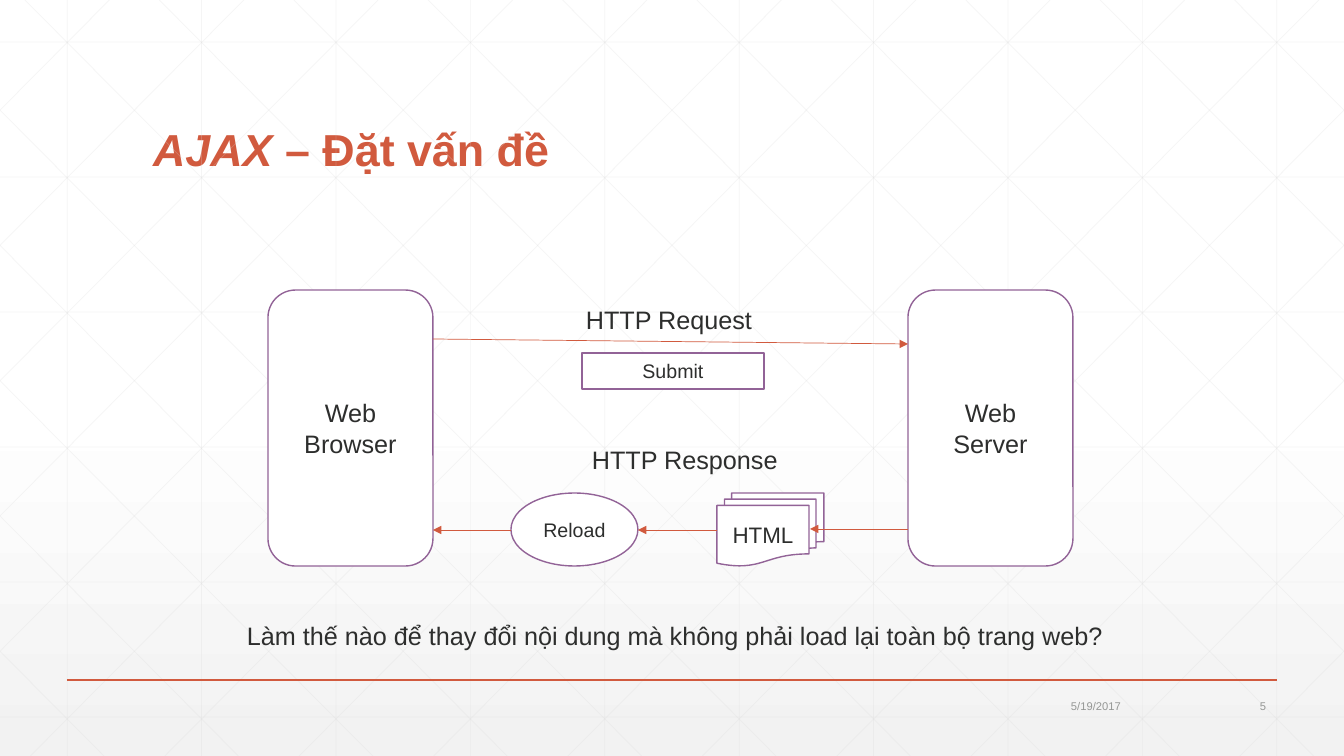
"""Build the AJAX problem slide: a browser-server round trip over a faint grid."""
from lxml import etree
from pptx import Presentation
from pptx.dml.color import RGBColor
from pptx.enum.shapes import MSO_CONNECTOR, MSO_SHAPE as SHAPE
from pptx.enum.text import MSO_ANCHOR as ANCHOR, MSO_AUTO_SIZE as AUTO, PP_ALIGN as ALIGN
from pptx.oxml.ns import qn
from pptx.util import Inches, Pt

WIDTH, HEIGHT = 1344, 756
FONT = "Arial"
ORANGE, PURPLE, DARK, GRAY = "D15A3E", "926397", "2D2E2D", "959795"
WHITE, PALE, GRID = "FFFFFF", "F2F2F2", "D9D9D9"

TITLE_BOX = (143, 55, 1058, 126)
TITLE_RUNS = [("AJAX ", True), ("– Đặt vấn đề", False)]
LABELS = [
    ("Làm thế nào để thay đổi nội dung mà không phải load lại toàn bộ trang web?",
     (237, 615, 884, 40)),
    ("HTTP Request", (576, 299, 188, 40)),
    ("HTTP Response", (582, 439, 208, 40)),
]
NODES = [
    ("Web Browser", SHAPE.ROUNDED_RECTANGLE, (268, 290, 165, 276), 18),
    ("Web Server", SHAPE.ROUNDED_RECTANGLE, (908, 290, 165, 276), 18),
    ("HTML", SHAPE.FLOWCHART_MULTIDOCUMENT, (717, 493, 107, 73), 16),
    ("Reload", SHAPE.OVAL, (511, 493, 127, 73), 14),
    ("Submit", SHAPE.RECTANGLE, (582, 353, 182, 36), 14),
]
ARROWS = [
    (433, 339, 908, 344),
    (908, 529, 810, 529),
    (717, 530, 638, 530),
    (511, 530, 433, 530),
]
FOOTERS = [("5/19/2017", (1024, 694, 107, 24)), ("5", (1175, 694, 101, 24))]
RULE = (67, 680, 1277, 680)

COLUMN_STEP, ROW_STEP, FIRST_ROW = WIDTH / 10, 135, 42
DIAGONAL_START, DIAGONAL_RUN = 25, 751


def px(value):
    return Inches(value / 100.8)


def color(value):
    return RGBColor.from_string(value)


def add_line(ends, line_color, weight, opacity=None, arrow=False):
    line = slide.shapes.add_connector(MSO_CONNECTOR.STRAIGHT, *map(px, ends))
    line.line.color.rgb = color(line_color)
    line.line.width = Pt(weight)
    properties = line._element.spPr
    outline = properties.find(qn("a:ln"))
    if opacity:
        swatch = outline.find(".//" + qn("a:srgbClr"))
        etree.SubElement(swatch, qn("a:alpha"), val=str(opacity * 1000))
    if arrow:
        etree.SubElement(outline, qn("a:tailEnd"), type="triangle")
    etree.SubElement(properties, qn("a:effectLst"))


def add_run(paragraph, text, size, text_color):
    run = paragraph.add_run()
    run.text = text
    run.font.name = FONT
    run.font.size = Pt(size)
    run.font.color.rgb = color(text_color)
    return run


def write(shape, text, size, text_color, align, anchor, wrap=True):
    frame = shape.text_frame
    frame.word_wrap = wrap
    frame.vertical_anchor = anchor
    paragraph = frame.paragraphs[0]
    paragraph.alignment = align
    add_run(paragraph, text, size, text_color)


def diagonal(start):
    """Return one falling grid line, clipped to the slide."""
    slope = HEIGHT / DIAGONAL_RUN
    left, right = max(start, 0), min(start + DIAGONAL_RUN, WIDTH)
    return left, (left - start) * slope, right, (right - start) * slope


presentation = Presentation()
presentation.slide_width, presentation.slide_height = px(WIDTH), px(HEIGHT)
slide = presentation.slides.add_slide(presentation.slide_layouts[5])

background = slide.background.fill
background.gradient()
background.gradient_angle = 270
for stop, (position, stop_color) in zip(background.gradient_stops, [(0.53, WHITE), (1, PALE)]):
    stop.position = position
    stop.color.rgb = color(stop_color)

columns = [COLUMN_STEP * (index + 0.5) for index in range(10)]
rows = [FIRST_ROW + ROW_STEP * index for index in range(6)]
falling = [diagonal(DIAGONAL_START + COLUMN_STEP * index) for index in range(-5, 10)]
rising = [(WIDTH - x1, y1, WIDTH - x2, y2) for x1, y1, x2, y2 in falling]
grid = [(x, 0, x, HEIGHT) for x in columns] + [(0, y, WIDTH, y) for y in rows]
for ends in grid + falling + rising:
    add_line(ends, GRID, 0.5, opacity=25)
add_line(RULE, ORANGE, 1)

title = slide.shapes.title
title.left, title.top, title.width, title.height = map(px, TITLE_BOX)
title.text_frame.auto_size = AUTO.NONE
title.text_frame.vertical_anchor = ANCHOR.BOTTOM
heading = title.text_frame.paragraphs[0]
heading.alignment = ALIGN.LEFT
heading.line_spacing = 0.9
for text, italic in TITLE_RUNS:
    run = add_run(heading, text, 32, ORANGE)
    run.font.bold, run.font.italic = True, italic

for text, preset, box, size in NODES:
    node = slide.shapes.add_shape(preset, *map(px, box))
    node.shadow.inherit = False
    node.fill.solid()
    node.fill.fore_color.rgb = color(WHITE)
    node.line.color.rgb = color(PURPLE)
    node.line.width = Pt(1)
    write(node, text, size, DARK, ALIGN.CENTER, ANCHOR.MIDDLE)

for ends in ARROWS:
    add_line(ends, ORANGE, 0.5, arrow=True)

for text, box in LABELS:
    label = slide.shapes.add_textbox(*map(px, box))
    write(label, text, 18, DARK, ALIGN.LEFT, ANCHOR.TOP, wrap=False)
    label.text_frame.auto_size = AUTO.SHAPE_TO_FIT_TEXT

for text, box in FOOTERS:
    footer = slide.shapes.add_textbox(*map(px, box))
    write(footer, text, 8, GRAY, ALIGN.RIGHT, ANCHOR.MIDDLE)

presentation.save("out.pptx")
